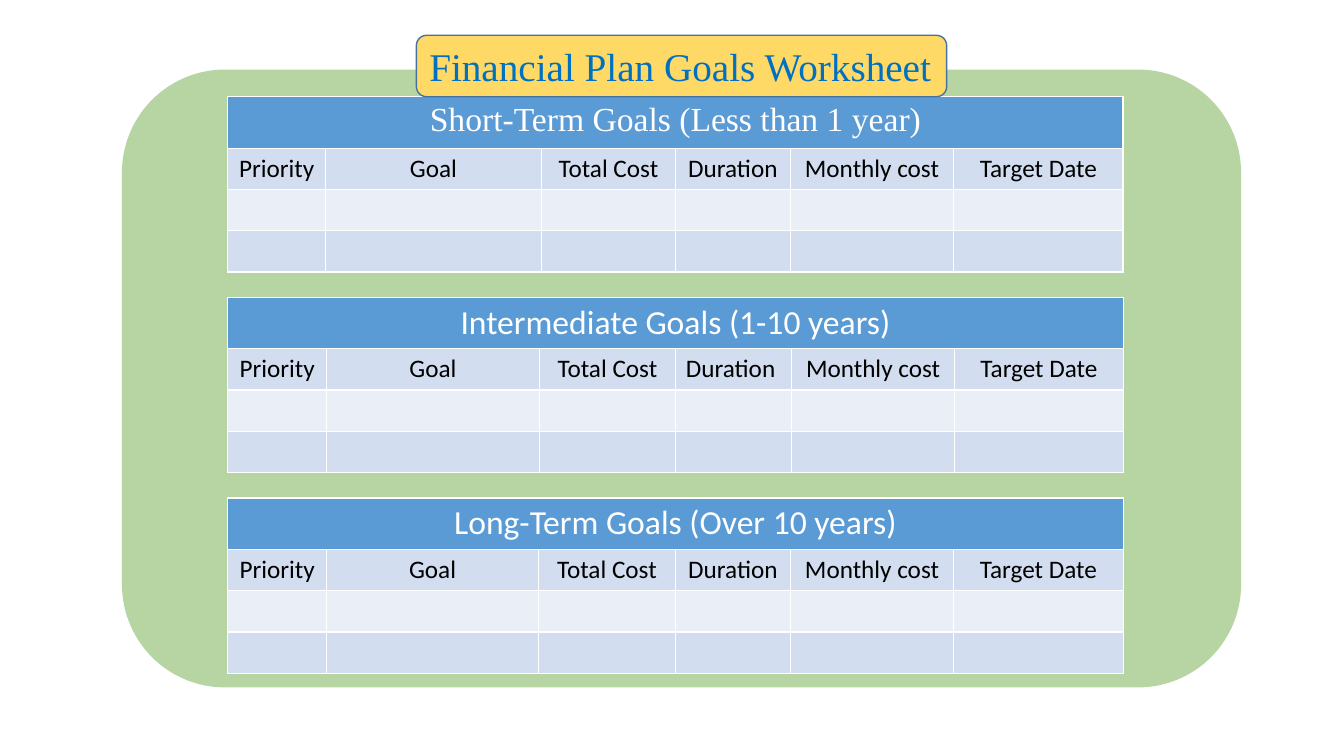
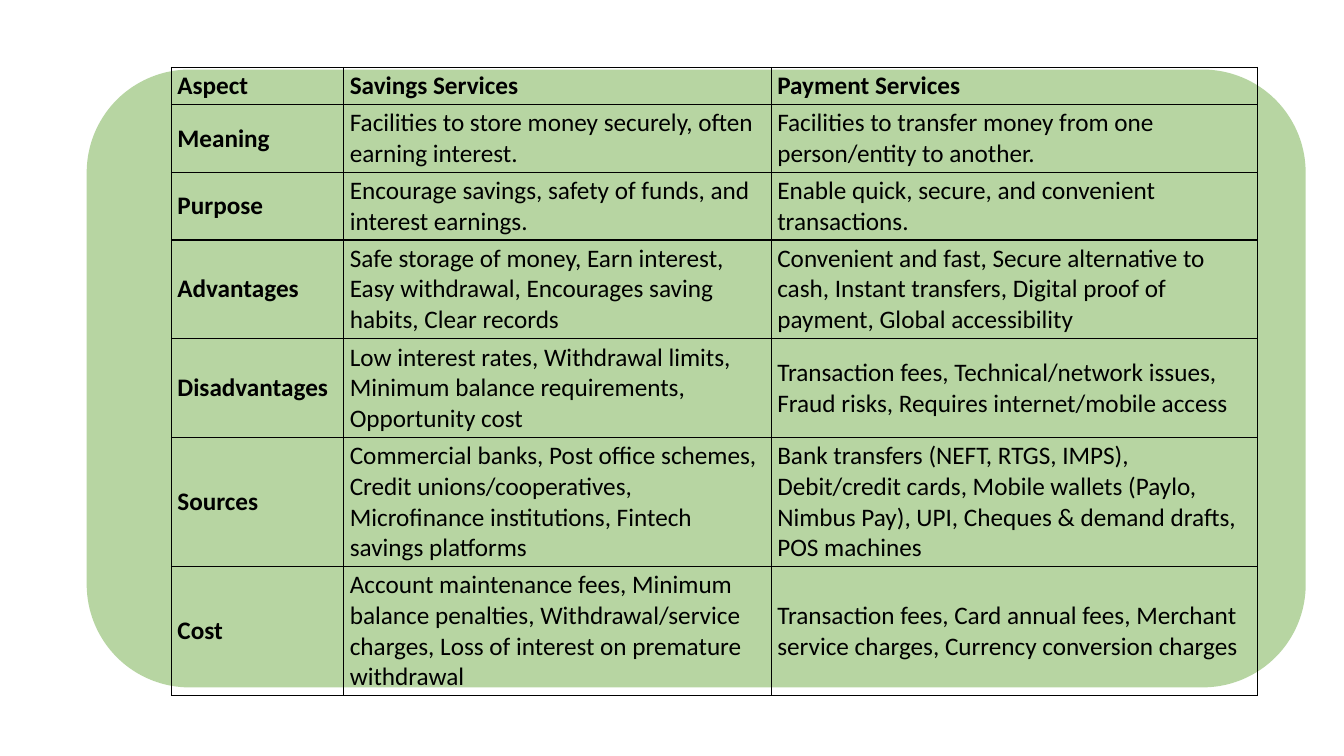
from dataclasses import dataclass

import pptx
import pptx.dml.color
import pptx.enum.shapes
import pptx.enum.text
import pptx.oxml
import pptx.oxml.ns
import pptx.util

PX = 9144  # 100 px to the inch


@dataclass(frozen=True)
class Theme:
    panel: str = "70AD47"
    panel_opacity: int = 50
    title_fill: str = "FFD966"
    title_line: str = "43739E"
    title_text: str = "0070C0"
    header: str = "5B9BD5"
    band_dark: str = "D2DEEF"
    band_light: str = "EAEFF7"
    white: str = "FFFFFF"
    black: str = "000000"
    body_font: str = "Calibri"
    title_font: str = "Times New Roman"
    title_size: int = 28
    header_size: int = 24
    body_size: int = 18


THEME = Theme()

TITLE = "Financial Plan Goals Worksheet"
GOAL_COLUMNS = ["Priority", "Goal", "Total Cost", "Duration ", "Monthly cost", "Target Date"]
GOAL_TABLES = [
    ("Short-Term Goals (Less than 1 year)", THEME.title_font, [97, 214, 133, 114, 162, 168]),
    ("Intermediate Goals (1-10 years)", THEME.body_font, [98, 211, 135, 115, 162, 167]),
    ("Long-Term Goals (Over 10 years)", THEME.body_font, [98, 210, 136, 114, 162, 168]),
]
GOAL_LEFT, GOAL_TOP, GOAL_PITCH = 226, 96, 199
GOAL_ROWS = [51, 41, 41, 41]

# Row height, then the cells of the row
SERVICES = [
    (37, "Aspect", "Savings Services", "Payment Services"),
    (67, "Meaning",
     "Facilities to store money securely, often earning interest.",
     "Facilities to transfer money from one person/entity to another."),
    (67, "Purpose",
     "Encourage savings, safety of funds, and interest earnings.",
     "Enable quick, secure, and convenient transactions."),
    (98, "Advantages",
     "Safe storage of money, Earn interest, Easy withdrawal, Encourages saving habits, "
     "Clear records",
     "Convenient and fast, Secure alternative to cash, Instant transfers, "
     "Digital proof of payment, Global accessibility"),
    (98, "Disadvantages",
     "Low interest rates, Withdrawal limits, Minimum balance requirements, Opportunity cost",
     "Transaction fees, Technical/network issues, Fraud risks, "
     "Requires internet/mobile access"),
    (128, "Sources",
     "Commercial banks, Post office schemes, Credit unions/cooperatives, "
     "Microfinance institutions, Fintech savings platforms",
     "Bank transfers (NEFT, RTGS, IMPS), Debit/credit cards, Mobile wallets "
     "(Paylo, Nimbus Pay), UPI, Cheques & demand drafts, POS machines"),
    (128, "Cost",
     "Account maintenance fees, Minimum balance penalties, Withdrawal/service charges, "
     "Loss of interest on premature withdrawal",
     "Transaction fees, Card annual fees, Merchant service charges, "
     "Currency conversion charges"),
]
SERVICE_LEFT, SERVICE_TOP = 170, 67
SERVICE_COLUMNS = [171, 424, 482]


def rgb(color):
    return pptx.dml.color.RGBColor.from_string(color)


def add_run(paragraph, text, size, color, font=THEME.body_font, bold=False):
    run = paragraph.add_run()
    run.text = text
    run.font.name = font
    run.font.size = pptx.util.Pt(size)
    run.font.bold = bold
    run.font.color.rgb = rgb(color)


def add_rounded(slide, left, top, width, height, fill):
    shape = slide.shapes.add_shape(
        pptx.enum.shapes.MSO_SHAPE.ROUNDED_RECTANGLE,
        left * PX, top * PX, width * PX, height * PX)
    shape.shadow.inherit = False
    shape.fill.solid()
    shape.fill.fore_color.rgb = rgb(fill)
    shape.line.fill.background()
    return shape


def add_panel(slide, left, width):
    """Add the translucent green backdrop."""
    panel = add_rounded(slide, left, 69, width, 613, THEME.panel)
    color = panel.fill._xPr.find(".//" + pptx.oxml.ns.qn("a:srgbClr"))
    alpha = color.makeelement(pptx.oxml.ns.qn("a:alpha"),
                              {"val": str(THEME.panel_opacity * 1000)})
    color.append(alpha)


def set_borders(cell, color):
    properties = cell._tc.get_or_add_tcPr()
    for side in "LRTB":
        properties.append(pptx.oxml.parse_xml(
            f'<a:ln{side} {pptx.oxml.ns.nsdecls("a")} w="{pptx.util.Pt(1)}">'
            f'<a:solidFill><a:srgbClr val="{color}"/></a:solidFill></a:ln{side}>'))


def add_table(slide, left, top, columns, rows, border, fills):
    """Add a bordered table; fills holds one colour, or None, for each row."""
    table = slide.shapes.add_table(
        len(rows), len(columns), left * PX, top * PX,
        sum(columns) * PX, sum(rows) * PX).table
    table.first_row = table.horz_banding = False
    for column, width in zip(table.columns, columns):
        column.width = width * PX
    for row, height, fill in zip(table.rows, rows, fills):
        row.height = height * PX
        for cell in row.cells:
            set_borders(cell, border)
            if fill:
                cell.fill.solid()
                cell.fill.fore_color.rgb = rgb(fill)
            else:
                cell.fill.background()
    return table


def add_goal_table(slide, top, heading, font, columns):
    fills = [THEME.header, THEME.band_dark, THEME.band_light, THEME.band_dark]
    table = add_table(slide, GOAL_LEFT, top, columns, GOAL_ROWS, THEME.white, fills)
    table.cell(0, 0).merge(table.cell(0, len(columns) - 1))
    entries = [(table.cell(0, 0), heading, THEME.header_size, THEME.white, font)]
    entries += [(table.cell(1, index), label, THEME.body_size, THEME.black, THEME.body_font)
                for index, label in enumerate(GOAL_COLUMNS)]
    for cell, text, size, color, face in entries:
        paragraph = cell.text_frame.paragraphs[0]
        paragraph.alignment = pptx.enum.text.PP_ALIGN.CENTER
        add_run(paragraph, text, size, color, face)


def build_goals(slide):
    add_panel(slide, 121, 1110)
    for index, (heading, font, columns) in enumerate(GOAL_TABLES):
        add_goal_table(slide, GOAL_TOP + index * GOAL_PITCH, heading, font, columns)
    title = add_rounded(slide, 413, 35, 526, 61, THEME.title_fill)
    title.line.color.rgb = rgb(THEME.title_line)
    title.line.width = pptx.util.Pt(1)
    title.text_frame.word_wrap = True
    title.text_frame.vertical_anchor = pptx.enum.text.MSO_ANCHOR.MIDDLE
    paragraph = title.text_frame.paragraphs[0]
    paragraph.alignment = pptx.enum.text.PP_ALIGN.LEFT
    add_run(paragraph, TITLE, THEME.title_size, THEME.title_text, THEME.title_font)


def build_services(slide):
    add_panel(slide, 86, 1209)
    heights = [height for height, *_ in SERVICES]
    table = add_table(slide, SERVICE_LEFT, SERVICE_TOP, SERVICE_COLUMNS, heights,
                      THEME.black, [None] * len(heights))
    for row, (_, *texts) in enumerate(SERVICES):
        for column, text in enumerate(texts):
            cell = table.cell(row, column)
            cell.vertical_anchor = pptx.enum.text.MSO_ANCHOR.MIDDLE
            cell.margin_left = cell.margin_right = 6 * PX
            cell.margin_top = cell.margin_bottom = 3 * PX
            add_run(cell.text_frame.paragraphs[0], text, THEME.body_size, THEME.black,
                    bold=row == 0 or column == 0)


def main():
    presentation = pptx.Presentation()
    presentation.slide_width = 1333 * PX
    presentation.slide_height = 750 * PX
    for build in (build_goals, build_services):
        build(presentation.slides.add_slide(presentation.slide_layouts[6]))
    presentation.save("out.pptx")


if __name__ == "__main__":
    main()
